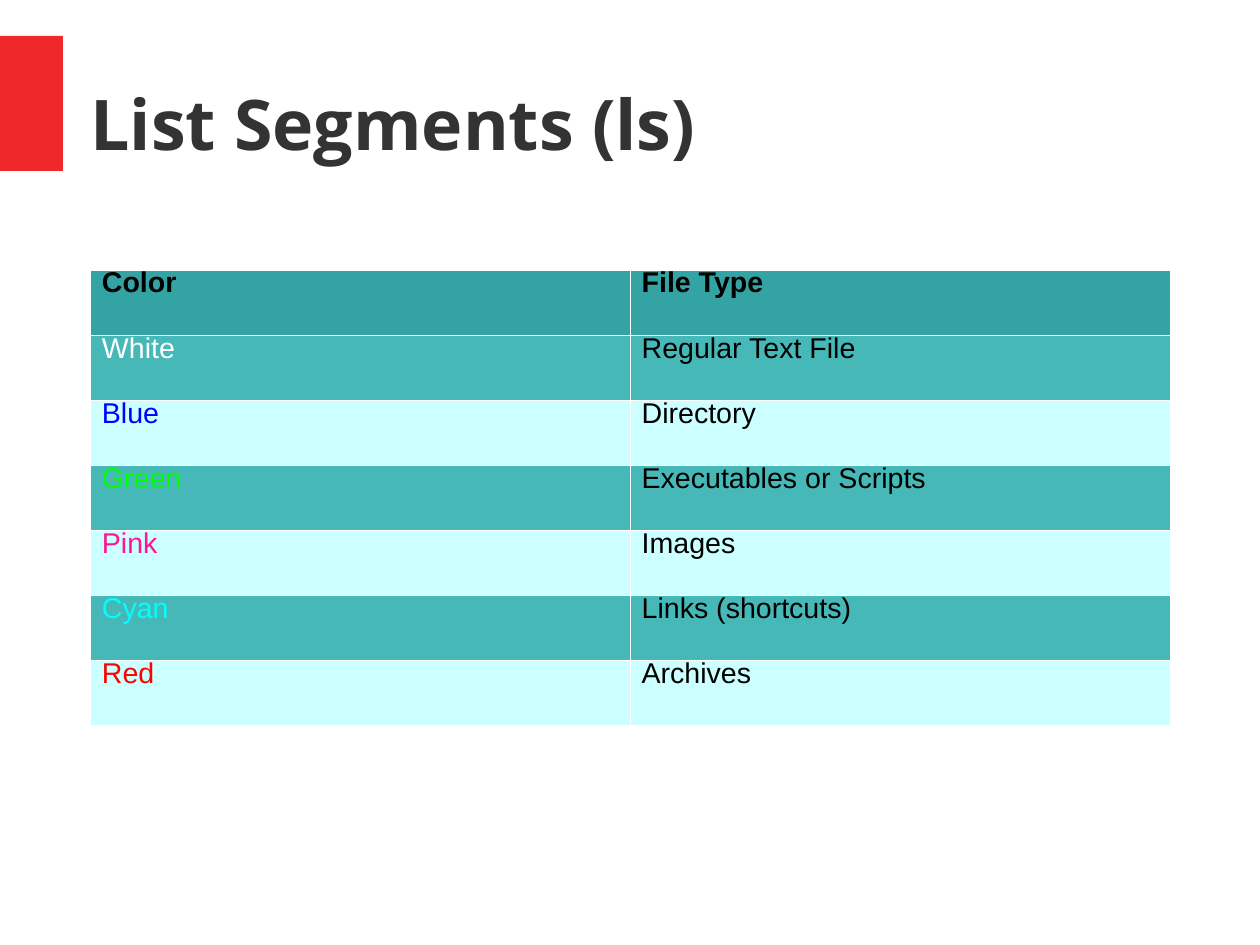
from lxml import etree
from pptx import Presentation
from pptx.dml.color import RGBColor
from pptx.enum.shapes import MSO_SHAPE
from pptx.enum.text import MSO_ANCHOR
from pptx.oxml.ns import qn
from pptx.util import Pt

RECTANGLE = MSO_SHAPE.RECTANGLE
MIDDLE = MSO_ANCHOR.MIDDLE

COLORS = {
    "accent": "EF2929",
    "title": "333333",
    "header": "33A3A3",
    "dark row": "47B8B8",
    "light row": "CCFFFF",
    "border": "FFFFFF",
    "text": "000000",
    "White": "FFFFFF",
    "Blue": "0000FF",
    "Green": "00FF00",
    "Pink": "FF1493",
    "Cyan": "00FFFF",
    "Red": "FF0000",
}

FILE_TYPES = [
    ("Color", "File Type"),
    ("White", "Regular Text File"),
    ("Blue", "Directory"),
    ("Green", "Executables or Scripts"),
    ("Pink", "Images"),
    ("Cyan", "Links (shortcuts)"),
    ("Red", "Archives"),
]

LEFT = 57
COLUMN_WIDTH = 340
ROW_HEIGHT = 41


def style_text(paragraph, font_name, size, color, bold, spacing):
    paragraph.line_spacing = spacing
    font = paragraph.runs[0].font
    font.name = font_name
    font.size = Pt(size)
    font.bold = bold
    font.color.rgb = RGBColor.from_string(COLORS[color])


def add_borders(cell):
    properties = cell._tc.get_or_add_tcPr()
    for position, side in enumerate(("a:lnL", "a:lnR", "a:lnT", "a:lnB")):
        line = etree.Element(qn(side), w=str(Pt(0.06)))
        fill = etree.SubElement(line, qn("a:solidFill"))
        etree.SubElement(fill, qn("a:srgbClr"), val=COLORS["border"])
        properties.insert(position, line)


prs = Presentation()
prs.slide_width = Pt(793.7)
prs.slide_height = Pt(595.3)
slide = prs.slides.add_slide(prs.slide_layouts[6])

accent = slide.shapes.add_shape(RECTANGLE, 0, Pt(22.6), Pt(39.7), Pt(85))
accent.shadow.inherit = False
accent.fill.solid()
accent.fill.fore_color.rgb = RGBColor.from_string(COLORS["accent"])
accent.line.fill.background()

title = slide.shapes.add_textbox(Pt(LEFT), Pt(23.8), Pt(697), Pt(99.4))
title_frame = title.text_frame
title_frame.word_wrap = True
title_frame.vertical_anchor = MIDDLE
title_frame.margin_left = title_frame.margin_right = 0
title_frame.margin_top = title_frame.margin_bottom = 0
title_frame.text = "List Segments (ls)"
style_text(title_frame.paragraphs[0], "Open Sans", 44, "title", True, 1.13)

table = slide.shapes.add_table(
    len(FILE_TYPES), 2, Pt(LEFT), Pt(170),
    Pt(2 * COLUMN_WIDTH), Pt(len(FILE_TYPES) * ROW_HEIGHT),
).table
for column in table.columns:
    column.width = Pt(COLUMN_WIDTH)

for row_index, labels in enumerate(FILE_TYPES):
    table.rows[row_index].height = Pt(ROW_HEIGHT)
    is_header = row_index == 0
    if is_header:
        row_fill = "header"
    else:
        row_fill = "dark row" if row_index % 2 else "light row"
    for column_index, label in enumerate(labels):
        cell = table.cell(row_index, column_index)
        cell.fill.solid()
        cell.fill.fore_color.rgb = RGBColor.from_string(COLORS[row_fill])
        add_borders(cell)
        cell.text_frame.text = label
        style_text(cell.text_frame.paragraphs[0], "Arial", 18,
                   COLORS.get(label) and label or "text", is_header, 0.68)

prs.save("out.pptx")
